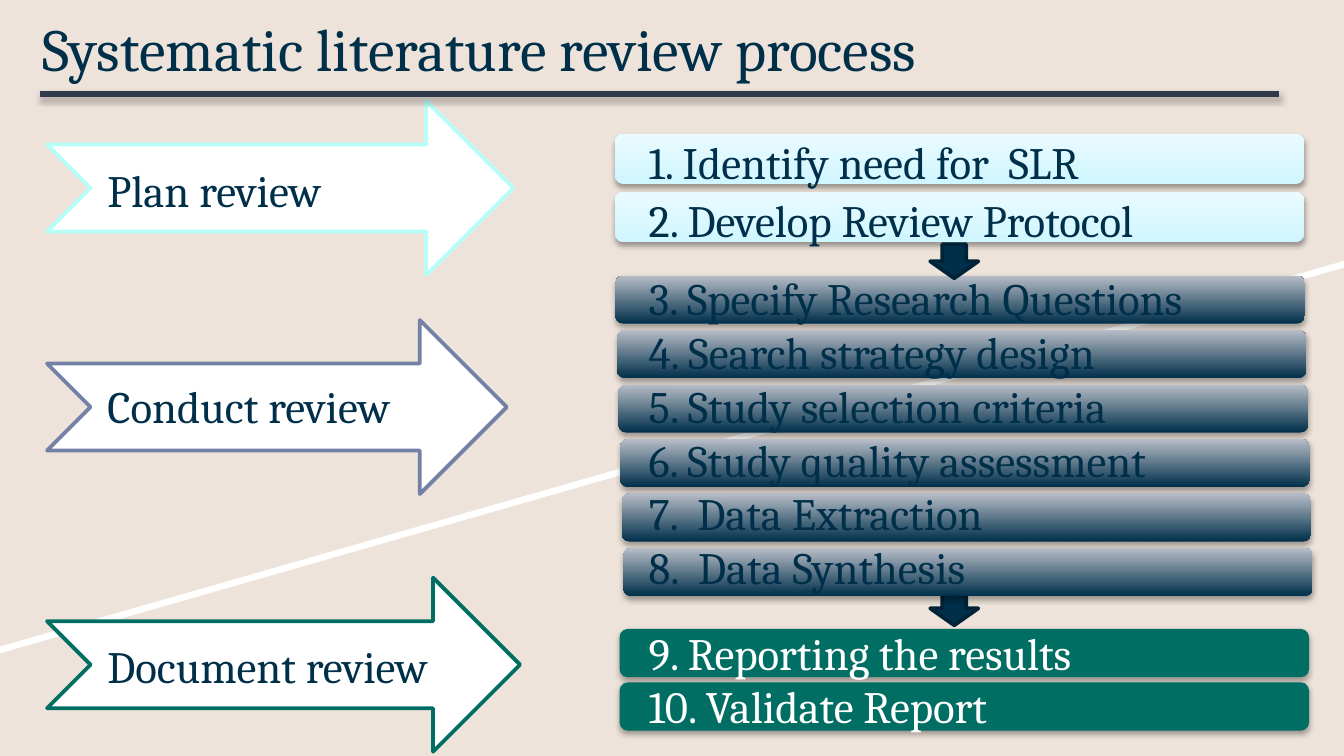
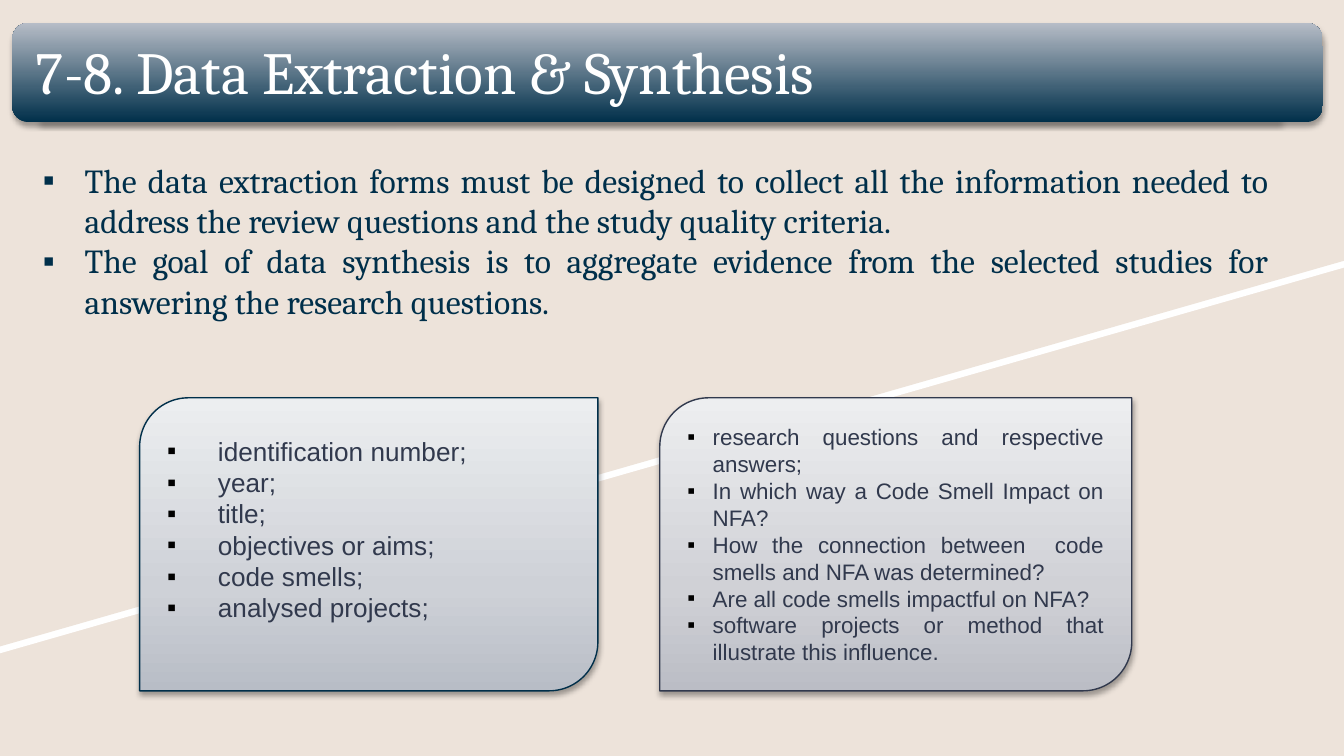
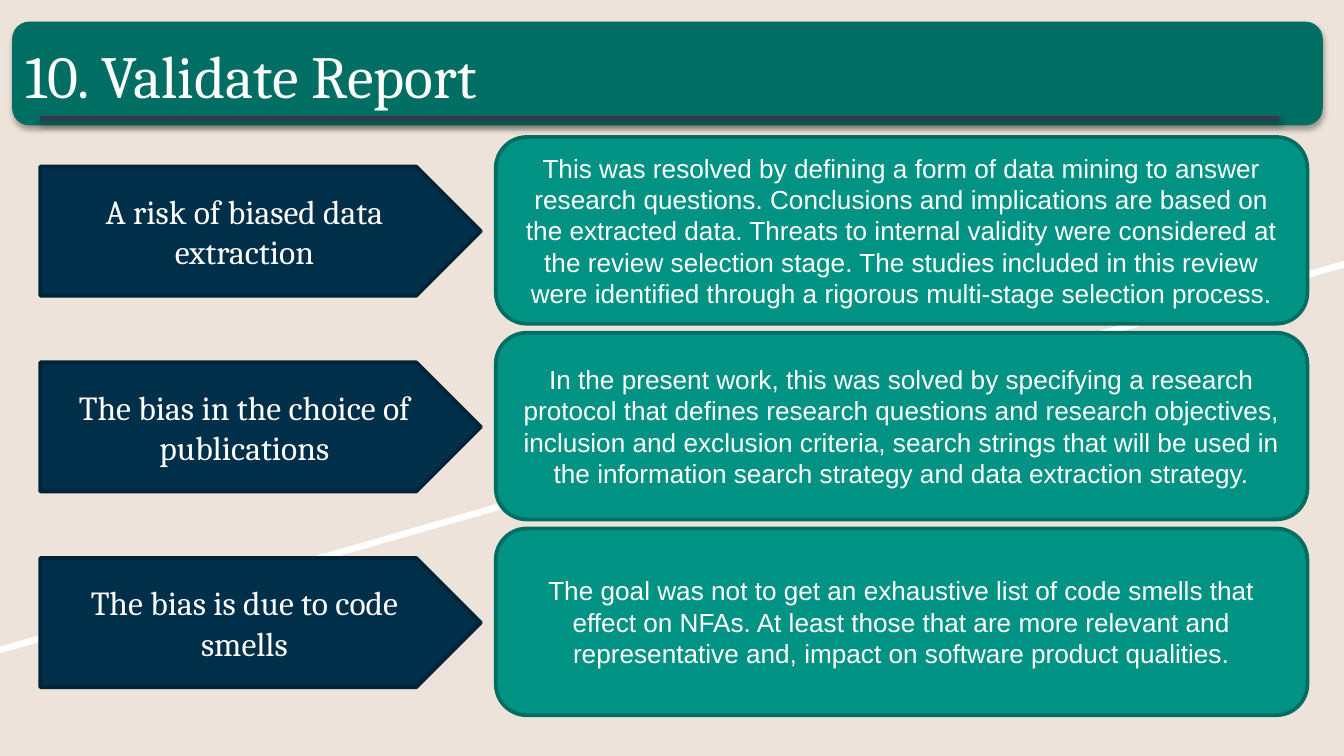
"""Builds three slides on the systematic literature review process."""
from lxml.etree import SubElement as Sub
from pptx import Presentation
from pptx.dml.color import RGBColor as Rgb
from pptx.enum.shapes import MSO_CONNECTOR as Link, MSO_SHAPE as Kind
from pptx.enum.text import MSO_ANCHOR as Anchor, MSO_AUTO_SIZE as Auto, PP_ALIGN as Align
from pptx.oxml.ns import qn
from pptx.util import Cm, Pt

HUES = {
    "sand": "EDE3DA", "white": "FFFFFF", "black": "000000", "navy": "002F4A",
    "edge": "002337", "slate": "31394D", "steel": "B7BDC7", "mist": "7281A5",
    "aqua": "B6FFF8", "sky": "D0F6FF", "ice": "E9FBFF", "pine": "006E63",
    "rim": "006D62", "teal": "009384",
}
DUSK = [(0, HUES["navy"]), (100, HUES["steel"])]
DAWN = [(0, HUES["sky"]), (100, HUES["ice"])]
COOL = [(0, "B8BDC6"), (35, "CED1D7"), (100, "ECEEF0")]
WARM = [(0, "BBBDC5"), (35, "D0D1D6"), (100, "EDEEF0")]
SERIF, SANS = "Cambria", "Arial"


def tone(name):
    return Rgb.from_string(HUES[name])


def shade(shape, cast):
    glow = Sub(shape.element.spPr, qn("a:effectLst"))
    if cast:
        drop = Sub(glow, qn("a:outerShdw"), blurRad=str(Pt(3.1)), dist=str(Pt(1.8)),
                   dir="5400000", algn="ctr", rotWithShape="0")
        black = Sub(drop, qn("a:srgbClr"), val=HUES["black"])
        Sub(black, qn("a:alpha"), val="35000")


def paint(shape, fill):
    if isinstance(fill, str):
        shape.fill.solid()
        shape.fill.fore_color.rgb = tone(fill)
        return
    shape.fill.gradient()
    shape.fill.gradient_angle = 90
    stops = shape.element.spPr.find(".//" + qn("a:gsLst"))
    stops.clear()
    for place, value in fill:
        stop = Sub(stops, qn("a:gs"), pos=str(place * 1000))
        Sub(stop, qn("a:srgbClr"), val=value)


def draw(slide, kind, box, fill, line=None, width=2, cast=False):
    shape = slide.shapes.add_shape(kind, *map(Cm, box))
    paint(shape, fill)
    if line:
        shape.line.color.rgb = tone(line)
        shape.line.width = Pt(width)
    else:
        shape.line.fill.background()
    shade(shape, cast)
    return shape


def rule(slide, top):
    line = slide.shapes.add_connector(Link.STRAIGHT, Cm(0.76), Cm(top), Cm(24.18), Cm(top))
    line.line.color.rgb = tone("slate")
    line.line.width = Pt(3)
    shade(line, True)


def frame(shape, sides=0.25, ends=0.13, foot=None, anchor=Anchor.MIDDLE):
    area = shape.text_frame
    area.word_wrap = True
    area.auto_size = Auto.NONE
    area.vertical_anchor = anchor
    area.margin_left = area.margin_right = Cm(sides)
    area.margin_top = Cm(ends)
    area.margin_bottom = Cm(ends if foot is None else foot)
    return area


def say(area, text, size=24, font=SERIF, hue="navy", align=Align.LEFT, gap=0, indent=0, dot="navy"):
    para = area.add_paragraph() if area.text else area.paragraphs[0]
    para.alignment = align
    para.space_before = Pt(gap)
    run = para.add_run()
    run.text = text
    run.font.size, run.font.name = Pt(size), font
    run.font.color.rgb = tone(hue)
    props = para._p.get_or_add_pPr()
    props.set("marL", str(Cm(indent)))
    props.set("indent", str(-Cm(indent)))
    if indent:
        Sub(Sub(props, qn("a:buClr")), qn("a:srgbClr"), val=HUES[dot])
        Sub(props, qn("a:buFont"), typeface=SANS)
        Sub(props, qn("a:buChar"), char="▪")
    else:
        Sub(props, qn("a:buNone"))


def place(slide, index, box):
    holder = slide.placeholders[index]
    holder.left, holder.top, holder.width, holder.height = map(Cm, box)
    slide.shapes.element.append(holder.element)
    return frame(holder, ends=0.25, anchor=Anchor.TOP)


def start(deck, layout):
    slide = deck.slides.add_slide(deck.slide_layouts[layout])
    for drop, hue in ((0.13, "white"), (0, "sand")):
        pen = slide.shapes.build_freeform(0, Cm(drop))
        pen.add_line_segments([(Cm(25.4), Cm(drop)), (Cm(25.4), Cm(4.93 + drop)),
                               (0, Cm(12.22 + drop))])
        band = pen.convert_to_shape()
        paint(band, hue)
        band.line.fill.background()
        shade(band, False)
    return slide


def banner(slide, top, height, fill):
    draw(slide, Kind.ROUNDED_RECTANGLE, (0.23, top, 24.77, height), fill, cast=True)


def process(deck):
    slide = start(deck, 3)
    draw(slide, Kind.DOWN_ARROW, (17.58, 11.18, 0.91, 0.64), "navy", "edge")
    for top, width, hue in ((1.91, 8.81, "aqua"), (6.05, 8.69, "mist"), (10.92, 8.94, "pine")):
        draw(slide, Kind.NOTCHED_RIGHT_ARROW, (0.89, top, width, 3.29), "white", hue)
    stacks = ((2, 11.62, 2.53, 0, 1.1, 0.95, DAWN), (6, 11.63, 5.21, 0.03, 1.03, 0.91, DUSK),
              (2, 11.71, 11.89, 0, 1.01, 0.91, "pine"))
    for count, left, top, shift, step, height, fill in stacks:
        for row in range(count):
            box = (left + shift * row, top + step * row, 13.03, height)
            draw(slide, Kind.ROUNDED_RECTANGLE, box, fill, cast=True)
    draw(slide, Kind.DOWN_ARROW, (17.58, 4.62, 0.91, 0.64), "navy", "edge")
    rule(slide, 1.78)
    say(place(slide, 0, (0.56, -0.03, 23.67, 2.18)), "Systematic literature review process", size=32)
    stages = place(slide, 1, (1.78, 2.82, 7.92, 10.6))
    for text, gap in (("Plan review", 0), ("Conduct review", 87), ("Document review", 110.5)):
        say(stages, text, gap=gap)
    steps = place(slide, 2, (12.01, 2.29, 12.7, 11.8))
    for text, gap, hue in (
        ("1. Identify need for  SLR", 0, "navy"),
        ("2. Develop Review Protocol", 2.4, "navy"),
        ("3. Specify Research Questions", 13.2, "navy"),
        ("4. Search strategy design", 0, "navy"),
        ("5. Study selection criteria", 0, "navy"),
        ("6. Study quality assessment", 0, "navy"),
        ("7.  Data Extraction", 0, "navy"),
        ("8.  Data Synthesis", 0, "navy"),
        ("9. Reporting the results", 17, "white"),
        ("10. Validate Report", 0, "white"),
    ):
        say(steps, text, gap=gap, hue=hue)


def extract(deck):
    slide = start(deck, 1)
    rule(slide, 2.24)
    goals = place(slide, 1, (0.56, 2.77, 23.67, 3.56))
    for text in (
        "The data extraction forms must be designed to collect all the information needed to "
        "address the review questions and the study quality criteria.",
        "The goal of data synthesis is to aggregate evidence from the selected studies for "
        "answering the research questions.",
    ):
        say(goals, text, size=18, align=Align.JUSTIFY, indent=0.79)
    fields = ("identification number;", "year;", "title;", "objectives or aims;",
              "code smells;", "analysed projects;")
    asks = ("research questions and respective answers;",
            "In which way a Code Smell Impact on NFA?",
            "How the connection between  code smells and NFA was determined?",
            "Are all code smells impactful on NFA?",
            "software projects or method that illustrate this influence.")
    for left, width, fill, line, foot, size, indent, items in (
        (2.64, 8.66, COOL, "navy", 0.71, 14, 0.96, fields),
        (12.47, 8.92, WARM, "slate", 0.13, 12, 0.48, asks),
    ):
        card = draw(slide, Kind.ROUND_2_DIAG_RECTANGLE, (left, 7.52, width, 5.54), fill,
                    line, 0.75, True)
        area = frame(card, foot=foot)
        for text in items:
            say(area, text, size=size, font=SANS, hue="slate", align=Align.JUSTIFY,
                indent=indent, dot="black")
    banner(slide, 0.43, 1.88, DUSK)
    say(place(slide, 0, (0.43, 0.41, 21.18, 2.34)), "7-8. Data Extraction & Synthesis",
        size=32, hue="white")


def report(deck):
    slide = start(deck, 5)
    banner(slide, 0.41, 1.96, "pine")
    rule(slide, 2.24)
    say(place(slide, 0, (0.23, 0.48, 17.7, 2.34)), "10. Validate Report", size=32, hue="white")
    threats = (
        ("A risk of biased data extraction",
         "This was resolved by defining a form of data mining to answer research questions. "
         "Conclusions and implications are based on the extracted data. Threats to internal "
         "validity were considered at the review selection stage. The studies included in this "
         "review were identified through a rigorous multi-stage selection process."),
        ("The bias in the choice of publications",
         "In the present work, this was solved by specifying a research protocol that defines "
         "research questions and research objectives, inclusion and exclusion criteria, search "
         "strings that will be used in the information search strategy and data extraction "
         "strategy."),
        ("The bias is due to code smells",
         "The goal was not to get an exhaustive list of code smells that effect on NFAs. At "
         "least those that are more relevant and representative and, impact on software product "
         "qualities."),
    )
    for row, (threat, answer) in enumerate(threats):
        drop = 3.7 * row
        plate = draw(slide, Kind.PENTAGON, (0.76, 3.15 + drop, 8.33, 2.44), "navy", "edge")
        say(frame(plate), threat, size=18, hue="white", align=Align.CENTER)
        card = draw(slide, Kind.ROUNDED_RECTANGLE, (9.37, 2.59 + drop, 15.34, 3.53), "teal", "rim")
        say(frame(card), answer, size=14, font=SANS, hue="white", align=Align.CENTER)


def main():
    deck = Presentation()
    deck.slide_width, deck.slide_height = Cm(25.4), Cm(14.29)
    paint_back = deck.slide_master.background.fill
    paint_back.solid()
    paint_back.fore_color.rgb = tone("sand")
    process(deck)
    extract(deck)
    report(deck)
    deck.save("out.pptx")


if __name__ == "__main__":
    main()
